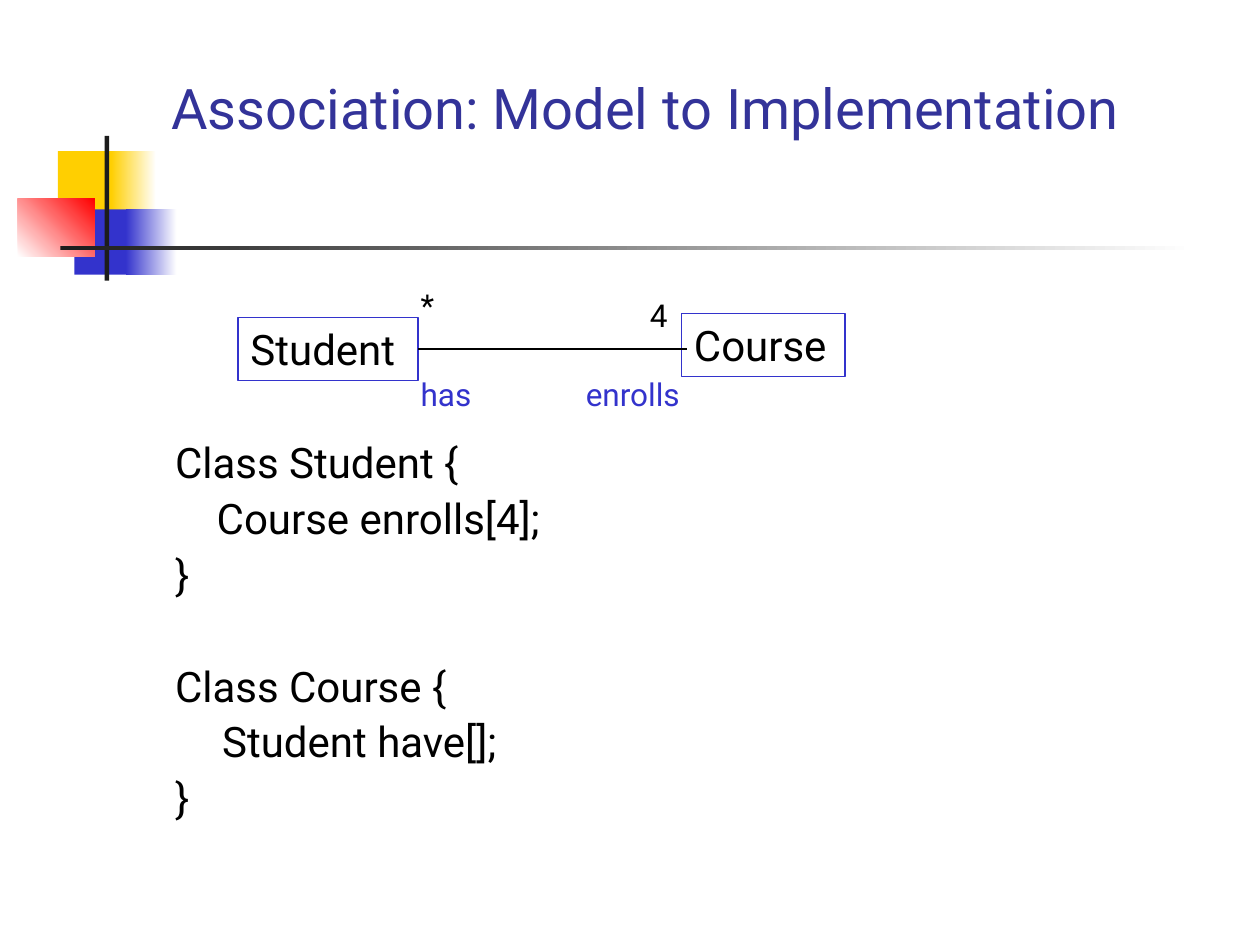
import pptx
import pptx.dml.color
import pptx.enum.shapes
import pptx.enum.text
import pptx.oxml.ns
import pptx.util
from lxml import etree

Cm, Pt = pptx.util.Cm, pptx.util.Pt
ANCHOR = pptx.enum.text.MSO_ANCHOR
RECT = pptx.enum.shapes.MSO_SHAPE.RECTANGLE

THEME = {
    "font": "Roboto",
    "title": "333399", "text": "000000", "blue": "3333CC",
    "yellow": "FFCF01", "red": "FF0000", "white": "FFFFFF", "dark": "1C1C1C",
    "title_size": 32, "body_size": 24, "label_size": 18,
}

TITLE = ("Association: Model to Implementation", (3.2, 0.58, 21.64, 3.15))

DECOR = [
    ((1.17, 3.05, 1.22, 1.32), ("yellow",), 0),
    ((2.24, 3.05, 0.91, 1.32), ("yellow", "white"), 0),
    ((1.5, 4.22, 1.17, 1.32), ("blue",), 0),
    ((2.54, 4.22, 1.02, 1.32), ("blue", "white"), 0),
    ((0.36, 4.01, 1.55, 1.17), ("white", "red"), 45),
    ((2.11, 2.74, 0.09, 2.92), ("dark",), 0),
    ((1.22, 4.95, 22.86, 0.09), ("dark", "white"), 0),
]

CODE_BOX = (3.28, 8.79, 21.39, 8.26)
CODE = [
    ["Class Student {", "    Course enrolls[4];", "}"],
    ["Class Course {", "\tStudent have[];", "}"],
]
LINE_GAP, CLASS_GAP = 6, 38

CLASSES = {
    "Student": (4.8, 6.4, 3.63, 1.27),
    "Course": (13.74, 6.32, 3.3, 1.27),
}
LINK_END = 13.84

LABELS = [
    ("enrolls", (11.56, 7.44, 2.54, 1.02), "blue"),
    ("has", (8.23, 7.44, 1.55, 1.02), "blue"),
    ("*", (8.23, 5.64, 0.79, 1.02), "text"),
    ("4", (12.85, 5.84, 0.86, 1.02), "text"),
]


def rgb(name):
    return pptx.dml.color.RGBColor.from_string(THEME[name])


def cm(box):
    return [Cm(v) for v in box]


def style(p, size, color):
    p.font.name = THEME["font"]
    p.font.size = Pt(THEME[size])
    p.font.color.rgb = rgb(color)


def add_rect(s, box):
    sp = s.shapes.add_shape(RECT, *cm(box))
    sp.shadow.inherit = False
    return sp


def add_decor(s, box, colors, angle):
    sp = add_rect(s, box)
    sp.line.fill.background()
    if len(colors) == 1:
        sp.fill.solid()
        sp.fill.fore_color.rgb = rgb(colors[0])
        return
    sp.fill.gradient()
    sp.fill.gradient_angle = angle
    for stop, color in zip(sp.fill.gradient_stops, colors):
        stop.color.rgb = rgb(color)


def fit_text(sp, text, size, color):
    tf = sp.text_frame
    tf.word_wrap = False
    tf.auto_size = pptx.enum.text.MSO_AUTO_SIZE.SHAPE_TO_FIT_TEXT
    tf.vertical_anchor = ANCHOR.TOP
    p = tf.paragraphs[0]
    p.text = text
    p.alignment = pptx.enum.text.PP_ALIGN.LEFT
    style(p, size, color)


def add_class(s, name, box):
    sp = add_rect(s, box)
    sp.fill.background()
    sp.line.color.rgb = rgb("blue")
    sp.line.width = Pt(1)
    fit_text(sp, name, "body_size", "text")
    return sp


def add_link(s, student):
    y = student.top + student.height // 2
    link = s.shapes.add_connector(
        pptx.enum.shapes.MSO_CONNECTOR.STRAIGHT,
        student.left + student.width, y, Cm(LINK_END), y)
    link.begin_connect(student, 3)
    link.line.color.rgb = rgb("text")
    link.line.width = Pt(0.75)
    etree.SubElement(link._element.spPr, pptx.oxml.ns.qn("a:effectLst"))


def add_title(s, text, box):
    tf = s.shapes.add_textbox(*cm(box)).text_frame
    tf.word_wrap = True
    tf.vertical_anchor = ANCHOR.MIDDLE
    p = tf.paragraphs[0]
    p.text = text
    style(p, "title_size", "title")


def add_code(s):
    tf = s.shapes.add_textbox(*cm(CODE_BOX)).text_frame
    tf.word_wrap = True
    for block, lines in enumerate(CODE):
        for row, text in enumerate(lines):
            first = block == row == 0
            p = tf.paragraphs[0] if first else tf.add_paragraph()
            p.add_run().text = text
            pPr = p._p.get_or_add_pPr()
            pPr.set("marL", str(Cm(0.95)))
            pPr.set("indent", str(-Cm(0.95)))
            p.line_spacing = 0.9
            if not first:
                p.space_before = Pt(LINE_GAP if row else CLASS_GAP)
            style(p, "body_size", "text")


def main():
    prs = pptx.Presentation()
    prs.slide_width, prs.slide_height = Cm(25.4), Cm(19.05)
    s = prs.slides.add_slide(prs.slide_layouts[6])
    for item in DECOR:
        add_decor(s, *item)
    add_title(s, *TITLE)
    add_code(s)
    boxes = {name: add_class(s, name, box) for name, box in CLASSES.items()}
    add_link(s, boxes["Student"])
    for text, box, color in LABELS:
        fit_text(s.shapes.add_textbox(*cm(box)), text, "label_size", color)
    prs.save("out.pptx")


if __name__ == "__main__":
    main()
